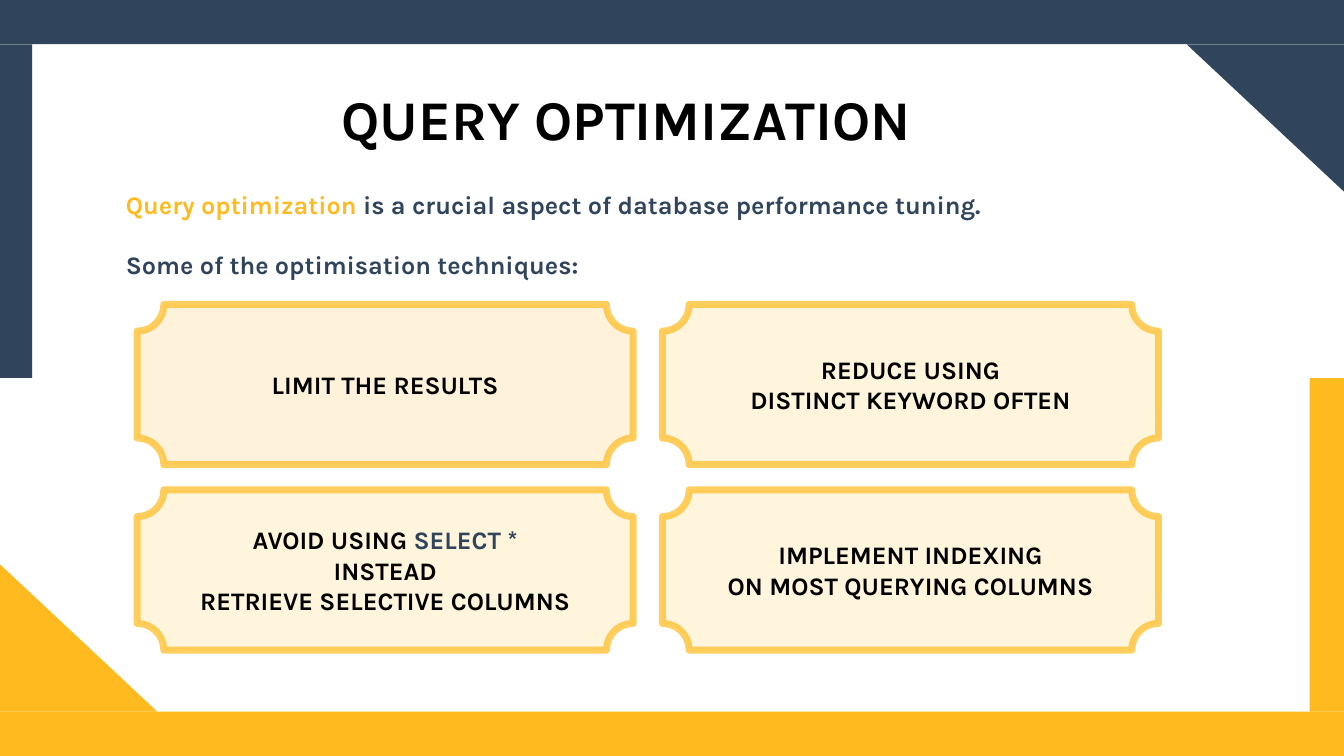
from lxml import etree
from pptx import Presentation
from pptx.dml.color import RGBColor
from pptx.enum.shapes import MSO_SHAPE
from pptx.enum.text import MSO_ANCHOR, PP_ALIGN
from pptx.oxml.ns import qn
from pptx.util import Inches, Pt

RECTANGLE = MSO_SHAPE.RECTANGLE
TRIANGLE = MSO_SHAPE.RIGHT_TRIANGLE
PLAQUE = MSO_SHAPE.PLAQUE
LEFT, CENTER = PP_ALIGN.LEFT, PP_ALIGN.CENTER
COLORS = {
    "navy": "30445B",
    "amber": "FEBA1E",
    "cream": "FFF5DD",
    "black": "000000",
}

presentation = Presentation()
presentation.slide_width = Inches(13.33)
presentation.slide_height = Inches(7.5)
slide = presentation.slides.add_slide(presentation.slide_layouts[6])


def add_filled(kind, box, color, opacity=100):
    shape = slide.shapes.add_shape(kind, *map(Inches, box))
    shape.shadow.inherit = False
    shape.fill.solid()
    shape.fill.fore_color.rgb = RGBColor.from_string(COLORS[color])
    if opacity < 100:
        fill_color = shape.fill._xPr.find(qn("a:solidFill"))[0]
        etree.SubElement(fill_color, qn("a:alpha"), val=str(opacity * 1000))
    shape.line.fill.background()
    return shape


def add_text(box, lines, size, align, wrap=True, gap=0):
    """Each line is a list of (text, color name) runs."""
    frame = slide.shapes.add_textbox(*map(Inches, box)).text_frame
    frame.word_wrap = wrap
    frame.vertical_anchor = MSO_ANCHOR.MIDDLE
    for index, runs in enumerate(lines):
        paragraph = frame.add_paragraph() if index else frame.paragraphs[0]
        paragraph.alignment = align
        paragraph.font.name = "Karla"
        paragraph.font.size = Pt(size)
        paragraph.font.bold = True
        if index:
            paragraph.space_before = Pt(gap)
        for text, color in runs:
            run = paragraph.add_run()
            run.text = text
            run.font.color.rgb = RGBColor.from_string(COLORS[color])


# Navy frame at the top, amber frame at the bottom
add_filled(RECTANGLE, (-0.02, -0.02, 13.35, 0.46), "navy")
add_filled(TRIANGLE, (11.77, 0.44, 1.58, 1.48), "navy").rotation = 180
add_filled(RECTANGLE, (-0.02, 0.44, 0.34, 3.31), "navy")
add_filled(RECTANGLE, (-0.02, 7.06, 13.35, 0.46), "amber")
add_filled(TRIANGLE, (-0.02, 5.58, 1.58, 1.48), "amber")
add_filled(RECTANGLE, (12.99, 3.75, 0.34, 3.31), "amber")

# Title and introduction
add_text((3.29, 0.79, 6.74, 0.77), [[("QUERY OPTIMIZATION", "black")]], 40, LEFT)
introduction = [
    [("Query optimization", "amber"),
     (" is a crucial aspect of database performance tuning.", "navy")],
    [("Some of the optimisation techniques:", "navy")],
]
add_text((1.15, 1.82, 9.56, 1.01), introduction, 18, LEFT, gap=21.8)

# Technique plaques in a two by two grid: label width and lines
techniques = [
    (2.76, [[("LIMIT THE RESULTS", "black")]]),
    (3.79, [[("REDUCE USING", "black")],
            [("DISTINCT KEYWORD OFTEN", "black")]]),
    (4.29, [[("AVOID USING ", "black"), ("SELECT *", "navy")],
            [("INSTEAD", "black")],
            [("RETRIEVE SELECTIVE COLUMNS", "black")]]),
    (4.21, [[("IMPLEMENT INDEXING", "black")],
            [("ON MOST QUERYING COLUMNS", "black")]]),
]
plaque_width, plaque_height = 4.92, 1.59
for index, (label_width, lines) in enumerate(techniques):
    row, column = divmod(index, 2)
    left, top = 1.36 + column * 5.21, 3.02 + row * 1.84
    fill, opacity = ("cream", 100) if index else ("amber", 16)
    plaque = add_filled(PLAQUE, (left, top, plaque_width, plaque_height), fill, opacity)
    plaque.line.width = Pt(5)
    plaque.line.color.rgb = RGBColor.from_string(COLORS["amber"])
    line_color = plaque.line.fill._xPr.find(qn("a:solidFill"))[0]
    etree.SubElement(line_color, qn("a:alpha"), val="71000")

    label_height = 0.1 + 0.3 * len(lines)
    label_left = left + (plaque_width - label_width) / 2
    label_top = top + (plaque_height - label_height) / 2
    add_text((label_left, label_top, label_width, label_height), lines, 18, CENTER, wrap=False)

presentation.save("out.pptx")
